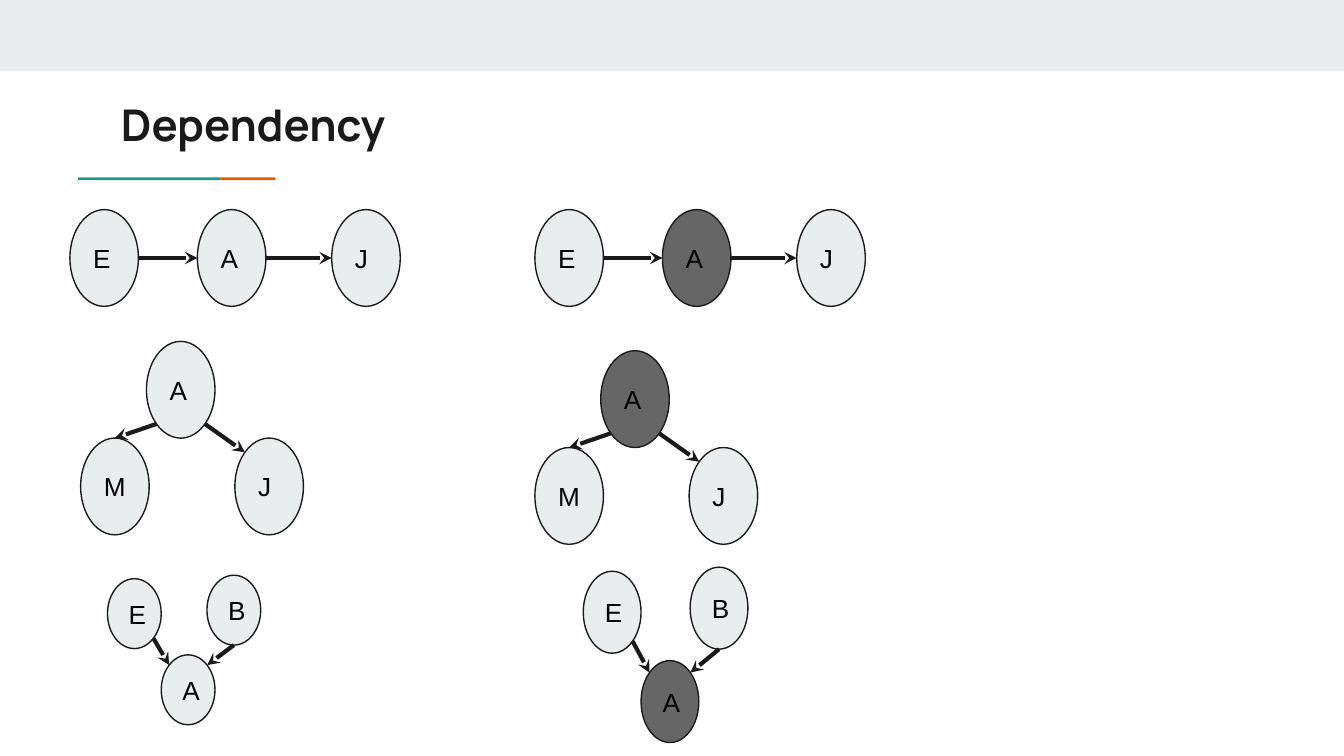
from math import sqrt
from lxml import etree
from pptx import Presentation
from pptx.dml.color import RGBColor
from pptx.enum import shapes, text
from pptx.oxml.ns import qn
from pptx.util import Inches, Pt

# Content: each graph has a left, top, node size and shaded flag
TITLE = "Dependency"
BIG = (0.51, 0.72)
GRAPHS = [
    ("chain", 0.52, 1.56, BIG, False),
    ("chain", 3.98, 1.56, BIG, True),
    ("fork", 0.6, 2.54, BIG, False),
    ("fork", 3.98, 2.61, BIG, True),
    ("merge", 0.8, 4.28, (0.4, 0.52), False),
    ("merge", 4.34, 4.22, (0.43, 0.61), True),
]
# Nodes: name -> offset in node widths and heights
# Edges: from node, side, to node, side
KINDS = {
    "chain": ({"E": (0, 0), "A": (1.86, 0), "J": (3.82, 0)},
              [("E", "r", "A", "l"), ("A", "r", "J", "l")]),
    "fork": ({"A": (0.96, 0), "M": (0, 1), "J": (2.25, 1)},
             [("A", "bl", "M", "t"), ("A", "br", "J", "tl")]),
    "merge": ({"E": (0, 0.05), "A": (1, 1.14), "B": (1.85, 0)},
              [("E", "br", "A", "tl"), ("B", "b", "A", "tr")]),
}
RULES = [(0.58, 1.06, "teal"), (1.64, 0.41, "orange")]
THEME = {
    "pale": "E9EDEE", "dark": "666666", "ink": "1A1A1A", "black": "000000",
    "teal": "1A9988", "orange": "EB5600",
    "head": ("Manrope", 23.4), "node": ("Arial", 14),
}


def color(name):
    return RGBColor.from_string(THEME[name])


def style(para, kind, ink):
    name, size = THEME[kind]
    para.alignment = text.PP_ALIGN.LEFT
    para.font.name, para.font.size = name, Pt(size)
    para.font.color.rgb = color(ink)


def inset(frame):
    frame.margin_left = frame.margin_right = Inches(0.1)
    frame.margin_top = frame.margin_bottom = Inches(0.1)


def add_box(slide, kind, box, fill):
    shape = slide.shapes.add_shape(kind, *map(Inches, box))
    shape.shadow.inherit = False
    shape.fill.solid()
    shape.fill.fore_color.rgb = color(fill)
    shape.line.fill.background()
    return shape


def add_node(slide, label, box, fill):
    node = add_box(slide, shapes.MSO_SHAPE.OVAL, box, fill)
    node.line.color.rgb = color("ink")
    node.line.width = Pt(0.75)
    frame = node.text_frame
    inset(frame)
    frame.vertical_anchor = text.MSO_ANCHOR.MIDDLE
    frame.text = label
    style(frame.paragraphs[0], "node", "black")


def find_point(box, side):
    """Point on the rim of an oval, on a side or a diagonal."""
    x, y, w, h = box
    dx = ("r" in side) - ("l" in side)
    dy = ("b" in side) - ("t" in side)
    reach = 2 * sqrt(dx * dx + dy * dy)
    return Inches(x + w / 2 + dx * w / reach), Inches(y + h / 2 + dy * h / reach)


def add_arrow(slide, start, end):
    arrow = slide.shapes.add_connector(shapes.MSO_CONNECTOR.STRAIGHT, *start, *end)
    arrow.line.color.rgb = color("ink")
    arrow.line.width = Pt(2.25)
    props = arrow._element.spPr
    etree.SubElement(props.find(qn("a:ln")), qn("a:tailEnd"), type="stealth")
    etree.SubElement(props, qn("a:effectLst"))


def add_graph(slide, kind, left, top, size, shaded):
    nodes, edges = KINDS[kind]
    w, h = size
    boxes = {n: (left + dx * w, top + dy * h, w, h) for n, (dx, dy) in nodes.items()}
    for label, box in boxes.items():
        add_node(slide, label, box, "dark" if shaded and label == "A" else "pale")
    for tail, out, head, into in edges:
        add_arrow(slide, find_point(boxes[tail], out), find_point(boxes[head], into))


def main():
    # Slide of 16 to 9
    deck = Presentation()
    deck.slide_width = Inches(10)
    deck.slide_height = Inches(10 * 9 / 16)
    slide = deck.slides.add_slide(deck.slide_layouts[5])

    # Top band and two-colour rule
    rect = shapes.MSO_SHAPE.RECTANGLE
    add_box(slide, rect, (0, 0, 10, 0.53), "pale")
    for left, width, fill in RULES:
        add_box(slide, rect, (left, 1.32, width, 0.02), fill)

    # Title
    title = slide.shapes.title
    title.left, title.top = Inches(0.8), Inches(0.63)
    title.width, title.height = Inches(8.41), Inches(0.59)
    frame = title.text_frame
    inset(frame)
    frame.vertical_anchor = text.MSO_ANCHOR.TOP
    frame.text = TITLE
    style(frame.paragraphs[0], "head", "ink")
    frame.paragraphs[0].font.bold = True

    # Graphs
    for graph in GRAPHS:
        add_graph(slide, *graph)
    deck.save("out.pptx")


if __name__ == "__main__":
    main()
